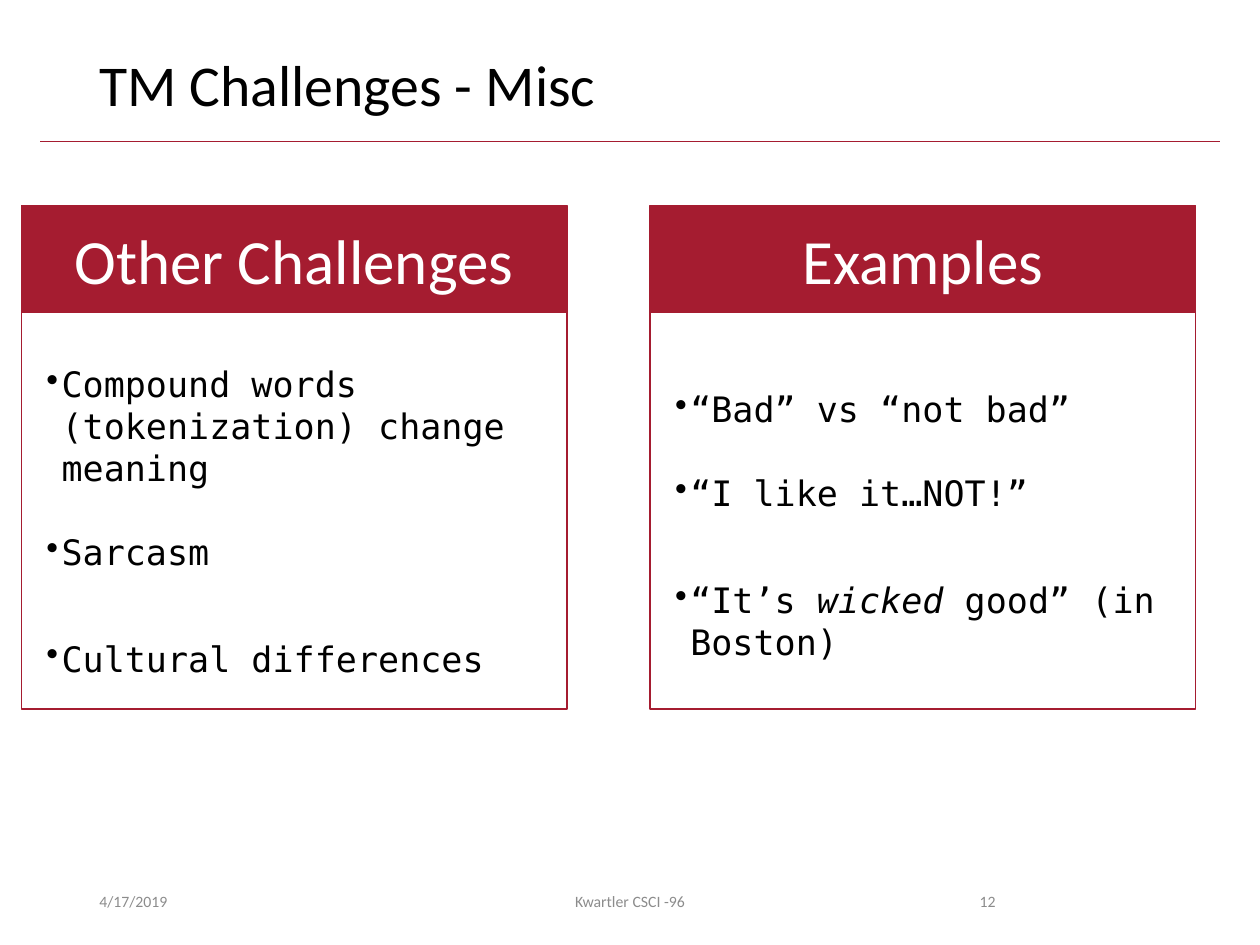
import pptx
import pptx.util
import pptx.dml.color
import pptx.enum.shapes
import pptx.enum.text
import pptx.oxml.ns
from lxml import etree

Inches, Pt = pptx.util.Inches, pptx.util.Pt
ALIGN = pptx.enum.text.PP_ALIGN
ANCHOR = pptx.enum.text.MSO_ANCHOR
COLORS = {"crimson": "A51C30", "white": "FFFFFF", "black": "000000", "gray": "8C8C8C"}


def color(name):
    return pptx.dml.color.RGBColor.from_string(COLORS[name])


def add_bullet(paragraph, indent=0.12):
    props = paragraph._p.get_or_add_pPr()
    props.set("marL", str(Inches(indent)))
    props.set("indent", str(-Inches(indent)))
    etree.SubElement(props, pptx.oxml.ns.qn("a:buChar")).set("char", "•")


def write(frame, paragraphs, size, font="Calibri", ink="black", align=ALIGN.LEFT,
          anchor=ANCHOR.TOP, bullets=False, gaps=None, spacing=None):
    """Fill a text frame; each paragraph is a list of (text, italic) runs."""
    frame.word_wrap = True
    frame.vertical_anchor = anchor
    for i, runs in enumerate(paragraphs):
        paragraph = frame.paragraphs[0] if i == 0 else frame.add_paragraph()
        if bullets:
            add_bullet(paragraph)
        paragraph.alignment = align
        if spacing:
            paragraph.line_spacing = spacing
        if gaps and i > 0:
            paragraph.space_before = Pt(gaps[i - 1])
        for text, italic in runs:
            run = paragraph.add_run()
            run.text = text
            run.font.name = font
            run.font.size = Pt(size)
            run.font.italic = italic
            run.font.color.rgb = color(ink)


def add_text(slide, left, top, width, height, paragraphs, **style):
    box = slide.shapes.add_textbox(Inches(left), Inches(top), Inches(width), Inches(height))
    write(box.text_frame, paragraphs, **style)


def add_box(slide, left, top, width, height, fill=None):
    box = slide.shapes.add_shape(pptx.enum.shapes.MSO_SHAPE.RECTANGLE, Inches(left),
                                 Inches(top), Inches(width), Inches(height))
    box.shadow.inherit = False
    if fill:
        box.fill.solid()
        box.fill.fore_color.rgb = color(fill)
    else:
        box.fill.background()
    box.line.color.rgb = color("crimson")
    box.line.width = Pt(1)
    return box


def add_heading(slide, left, top, width, height):
    # Title and the rule beneath it
    add_text(slide, left, top, width, height, [[("TM Challenges - Misc", False)]],
             size=33, spacing=0.9)
    rule_y = Inches(top + 0.72)
    rule = slide.shapes.add_connector(
        pptx.enum.shapes.MSO_CONNECTOR.STRAIGHT,
        Inches(left - 0.37), rule_y, Inches(left + width + 0.37), rule_y)
    rule.line.color.rgb = color("crimson")
    rule.line.width = Pt(0.5)
    etree.SubElement(rule._element.spPr, pptx.oxml.ns.qn("a:effectLst"))


def add_panel(slide, left, top, width, height, heading, points, points_top, points_height):
    # Bulleted points
    add_text(slide, left + 0.1, points_top, width - 0.18, points_height, points,
             size=20, font="DejaVu Sans Mono", bullets=True, gaps=[24, 37])
    # Header band, then the frame around the points
    band = add_box(slide, left, top, width, 0.85, fill="crimson")
    write(band.text_frame, [[(heading, False)]], size=36, ink="white",
          align=ALIGN.CENTER, anchor=ANCHOR.MIDDLE)
    add_box(slide, left, top + 0.15, width, height - 0.15)


def add_footer(slide, top, height):
    for left, width, text, align in [
        (0.69, 2.25, "4/17/2019", ALIGN.LEFT),
        (3.31, 3.38, "Kwartler CSCI -96", ALIGN.CENTER),
        (7.06, 0.94, "12", ALIGN.RIGHT),
    ]:
        add_text(slide, left, top, width, height, [[(text, False)]], size=9,
                 ink="gray", align=align, anchor=ANCHOR.MIDDLE)


def main():
    deck = pptx.Presentation()
    deck.slide_width, deck.slide_height = Inches(10), Inches(7.5)
    slide = deck.slides.add_slide(deck.slide_layouts[6])

    add_heading(slide, 0.69, 0.4, 8.62, 0.65)
    challenges = [
        [("Compound words (tokenization) change meaning", False)],
        [("Sarcasm", False)],
        [("Cultural differences", False)],
    ]
    examples = [
        [("“Bad” vs “not bad”", False)],
        [("“I like it…NOT!”", False)],
        [("“It’s ", False), ("wicked", True), (" good” (in Boston)", False)],
    ]
    add_panel(slide, 0.17, 1.63, 4.33, 4, "Other Challenges", challenges, 2.83, 2.31)
    add_panel(slide, 5.16, 1.63, 4.33, 4, "Examples", examples, 3.03, 1.97)
    add_footer(slide, 6.95, 0.4)
    deck.save("out.pptx")


if __name__ == "__main__":
    main()
